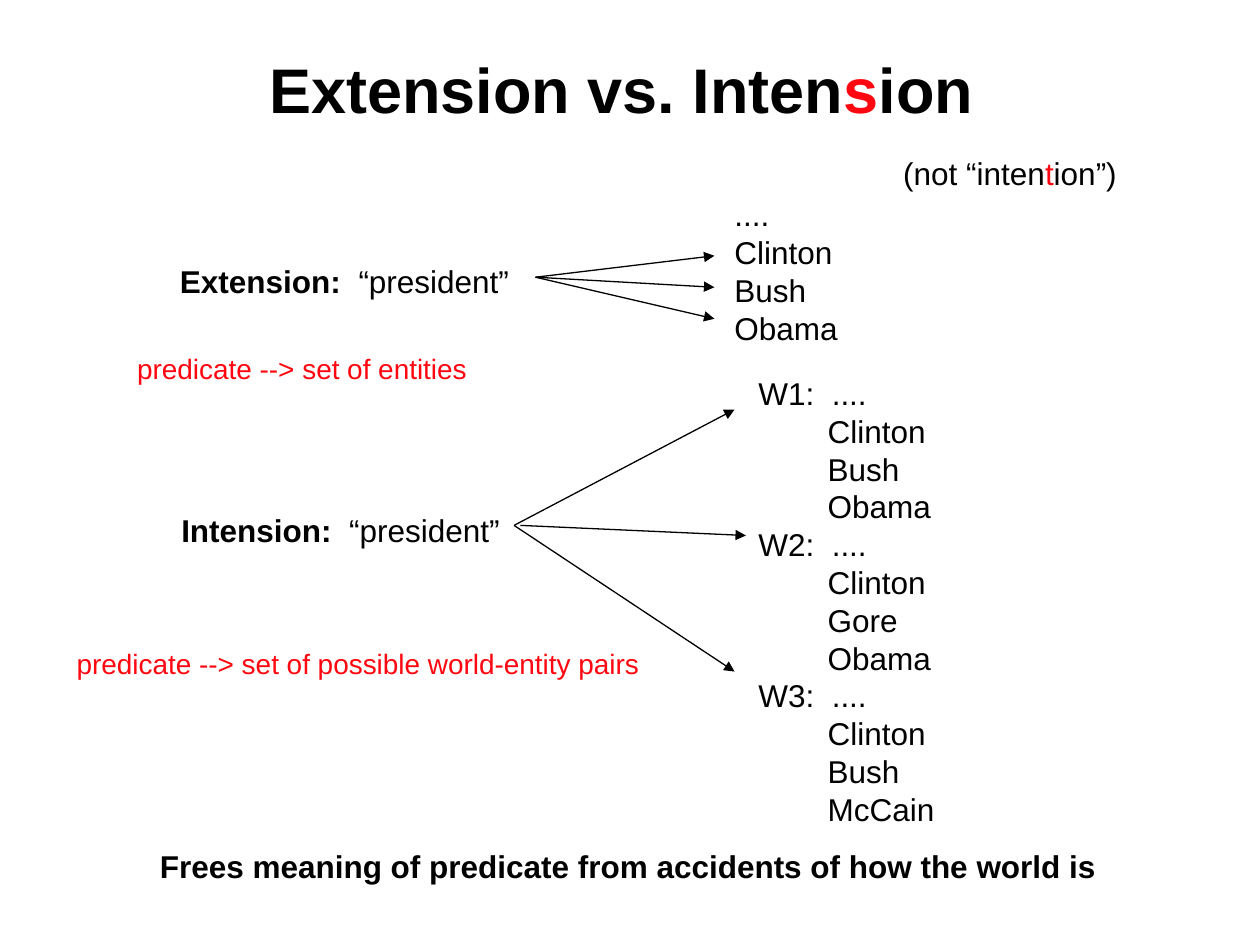
"""Build the slide that contrasts extension with intension."""
import pptx
import pptx.dml.color
import pptx.enum.shapes
import pptx.enum.text
import pptx.oxml
import pptx.oxml.ns
import pptx.util

Inches, Pt = pptx.util.Inches, pptx.util.Pt
BLACK = pptx.dml.color.RGBColor(0, 0, 0)
RED = pptx.dml.color.RGBColor(0xFF, 0x07, 0x10)
LEAD = 1.2
INDENT = 0.55
SLACK = 0.08

TITLE = [("Extension vs. Inten", BLACK, True), ("s", RED, True), ("ion ", BLACK, True)]
WORLDS = [
    ("W1", ["Clinton", "Bush", "Obama"]),
    ("W2", ["Clinton", "Gore", "Obama"]),
    ("W3", ["Clinton", "Bush", "McCain"]),
]
TERMS = [
    ("Extension:  ", (1.33, 2.03, 2.81, 0.4)),
    ("Intension:  ", (1.34, 4.01, 2.73, 0.4)),
]
NOTES = [
    ("predicate --> set of entities", (0.99, 2.74, 2.82, 0.37)),
    ("predicate --> set of possible world-entity pairs", (0.51, 5.08, 4.66, 0.37)),
]
PEOPLE = ["....", "Clinton", "Bush", "Obama"]
ASIDE = [("(not “inten", BLACK, False), ("t", RED, False), ("ion”)", BLACK, False)]
CLOSING = "Frees meaning of predicate from accidents of how the world is"
ARROWS = [
    ((4.25, 2.2), [(5.67, 2.03), (5.67, 2.28), (5.67, 2.53)]),
    ((4.08, 4.17), [(5.83, 3.25), (5.83, 5.33)]),
    ((4.13, 4.17), [(5.92, 4.25)]),
]


def write(par, runs, size):
    par.line_spacing = Pt(size * LEAD)
    for text, color, bold in runs:
        run = par.add_run()
        run.text = text
        run.font.name = "Arial"
        run.font.size = Pt(size)
        run.font.bold = bold
        run.font.color.rgb = color


def add_text(slide, place, lines, size=18):
    left, top, width, height = place
    box = slide.shapes.add_textbox(*map(Inches, (left, top, width + SLACK, height)))
    frame = box.text_frame
    frame.word_wrap = True
    frame.auto_size = pptx.enum.text.MSO_AUTO_SIZE.SHAPE_TO_FIT_TEXT
    for i, (runs, inset) in enumerate(lines):
        par = frame.add_paragraph() if i else frame.paragraphs[0]
        if inset:
            par._p.get_or_add_pPr().set("marL", str(Inches(inset)))
        write(par, runs, size)


def add_arrow(slide, start, end):
    kind = pptx.enum.shapes.MSO_CONNECTOR.STRAIGHT
    arrow = slide.shapes.add_connector(kind, *map(Inches, start + end))
    arrow.line.color.rgb = BLACK
    arrow.line.width = Pt(0.75)
    tail = pptx.oxml.parse_xml(f'<a:tailEnd {pptx.oxml.ns.nsdecls("a")} type="triangle"/>')
    arrow.line._get_or_add_ln().append(tail)
    effect = pptx.oxml.parse_xml(f'<a:effectLst {pptx.oxml.ns.nsdecls("a")}/>')
    arrow._element.spPr.append(effect)


def main():
    deck = pptx.Presentation()
    deck.slide_width, deck.slide_height = Inches(10), Inches(7.5)
    slide = deck.slides.add_slide(deck.slide_layouts[5])

    title = slide.shapes.title
    title.left, title.top, title.width, title.height = map(Inches, (0.75, 0.08, 8.5, 1.25))
    title.text_frame.auto_size = pptx.enum.text.MSO_AUTO_SIZE.NONE
    title.text_frame.vertical_anchor = pptx.enum.text.MSO_ANCHOR.MIDDLE
    head = title.text_frame.paragraphs[0]
    head.alignment = pptx.enum.text.PP_ALIGN.CENTER
    write(head, TITLE, 36)

    for term, place in TERMS:
        runs = [(term, BLACK, True), ("“president”", BLACK, False)]
        add_text(slide, place, [(runs, 0)])
    people = [([(name, BLACK, False)], 0) for name in PEOPLE]
    add_text(slide, (5.73, 1.5, 1.02, 1.3), people)

    worlds = []
    for world, names in WORLDS:
        worlds.append(([(f"{world}:  ....", BLACK, False)], 0))
        worlds += [([(name, BLACK, False)], INDENT) for name in names]
    add_text(slide, (5.92, 2.92, 1.6, 3.7), worlds)

    add_text(slide, (7.07, 1.17, 1.89, 0.4), [(ASIDE, 0)])
    add_text(slide, (1.17, 6.67, 7.63, 0.4), [([(CLOSING, BLACK, True)], 0)])
    for start, ends in ARROWS:
        for end in ends:
            add_arrow(slide, start, end)
    for note, place in NOTES:
        add_text(slide, place, [([(note, RED, False)], 0)], 16)

    deck.save("out.pptx")


if __name__ == "__main__":
    main()
